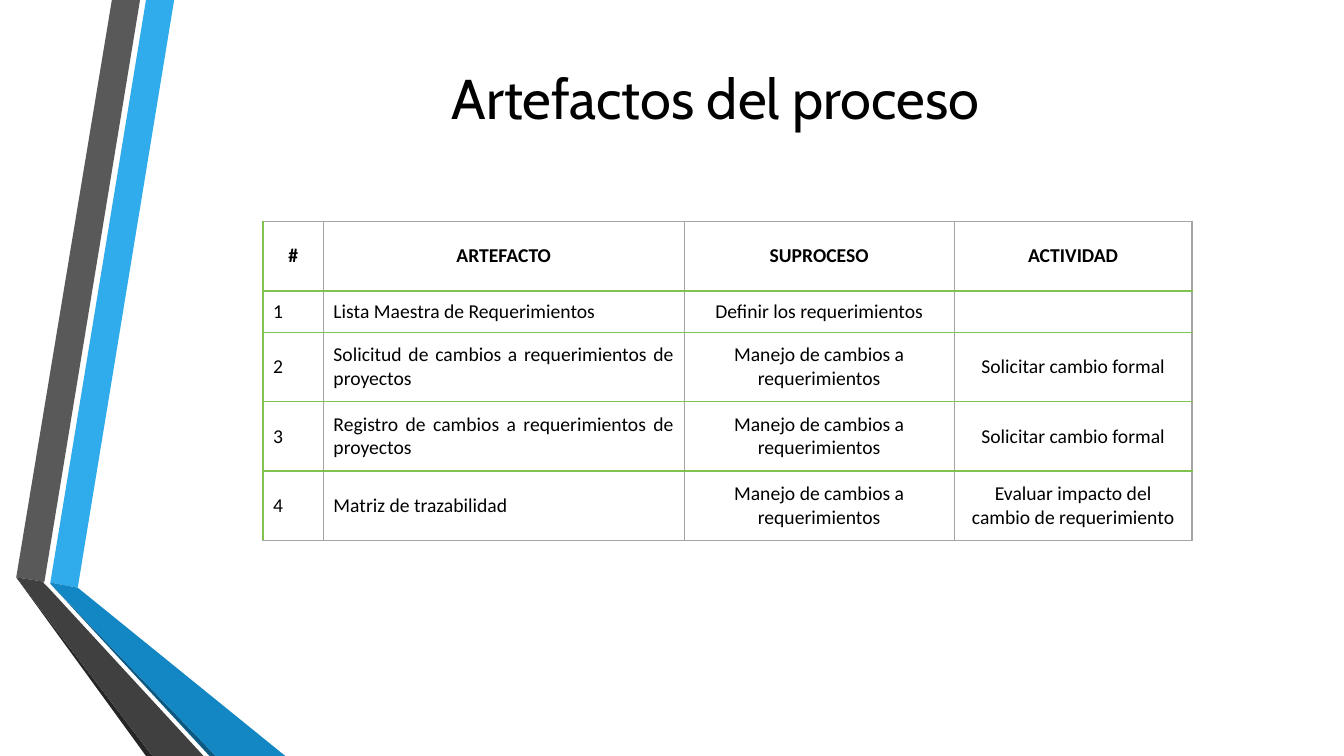
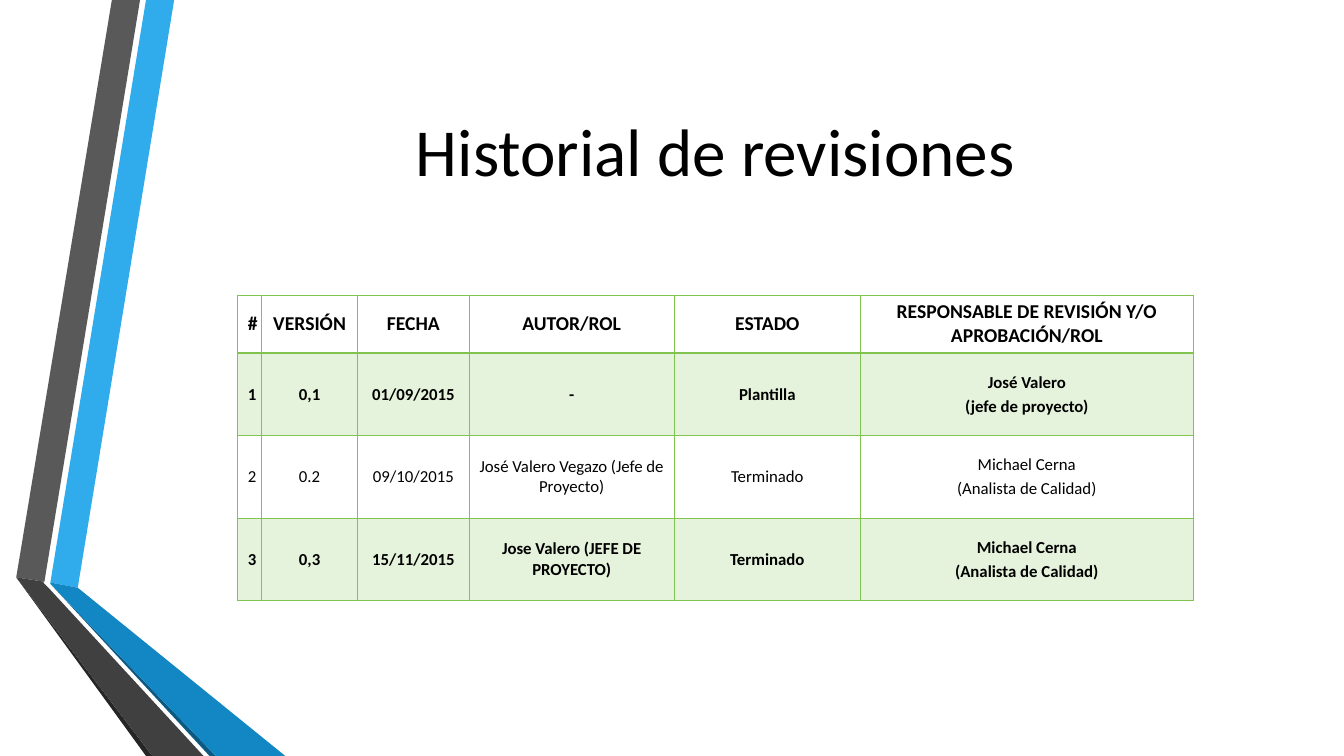
"""Build two table slides that share an angled ribbon on the left edge."""
from dataclasses import dataclass

from lxml.etree import SubElement
from pptx import Presentation
from pptx.dml.color import RGBColor
from pptx.enum.text import MSO_ANCHOR, PP_ALIGN
from pptx.oxml.ns import qn
from pptx.util import Cm, Pt


@dataclass(frozen=True)
class Theme:
    text: str = "000000"
    green: str = "80C34F"
    shade: str = "E6F3DC"
    grey: str = "A5A5A5"
    font: str = "Calibri"
    title_font: str = "Cabin"
    title: int = 40
    big_title: int = 48
    body: int = 14
    small: int = 12
    line: float = 1
    header_line: float = 1.5


THEME = Theme()
CENTER, JUSTIFY = PP_ALIGN.CENTER, PP_ALIGN.JUSTIFY
RIBBONS = [
    ("30ACEC", [(1.27, 14.68), (1.96, 14.81), (4.39, 0), (3.68, 0)]),
    ("595959", [(3.53, 0), (2.82, 0), (0.41, 14.55), (1.12, 14.66)]),
    ("262626", [(0.41, 14.55), (3.68, 19.05), (3.84, 19.05)]),
    ("0C5A82", [(1.27, 14.71), (5.28, 19.05), (5.44, 19.05)]),
    ("1287C3", [(1.27, 14.71), (5.44, 19.05), (7.19, 19.05), (1.96, 14.81), (1.27, 14.68)]),
    ("404040", [(5.13, 19.05), (1.22, 14.81), (1.09, 14.68), (1.12, 14.66), (0.41, 14.55),
                (3.84, 19.05)]),
]
ARTEFACTS = [
    ["#", "ARTEFACTO", "SUPROCESO", "ACTIVIDAD"],
    ["1", "Lista Maestra de Requerimientos", "Definir los requerimientos", ""],
    ["2", "Solicitud de cambios a requerimientos de proyectos",
     "Manejo de cambios a requerimientos", "Solicitar cambio formal"],
    ["3", "Registro de cambios a requerimientos de proyectos",
     "Manejo de cambios a requerimientos", "Solicitar cambio formal"],
    ["4", "Matriz de trazabilidad", "Manejo de cambios a requerimientos",
     "Evaluar impacto del cambio de requerimiento"],
]
REVISIONS = [
    ["#", "VERSIÓN", "FECHA", "AUTOR/ROL", "ESTADO",
     "RESPONSABLE DE REVISIÓN Y/O APROBACIÓN/ROL"],
    ["1", "0,1", "01/09/2015", "-", "Plantilla", "José Valero\n(jefe de proyecto)"],
    ["2", "0.2", "09/10/2015", "José Valero Vegazo (Jefe de Proyecto)", "Terminado",
     "Michael Cerna\n(Analista de Calidad)"],
    ["3", "0,3", "15/11/2015", "Jose Valero (JEFE DE PROYECTO)", "Terminado",
     "Michael Cerna\n(Analista de Calidad)"],
]


class Deck:
    def __init__(self, theme):
        self.theme = theme
        self.prs = Presentation()
        self.prs.slide_width, self.prs.slide_height = Cm(33.87), Cm(19.05)
        self.layout = self.prs.slide_layouts[5]
        self.s = None

    def slide(self, title, top, size, font):
        self.s = self.prs.slides.add_slide(self.layout)
        sp = self.s.shapes.title
        sp.left, sp.top, sp.width, sp.height = Cm(4.11), Cm(top), Cm(27.84), Cm(4.88)
        tf = sp.text_frame
        tf.vertical_anchor = MSO_ANCHOR.MIDDLE
        self.add_text(tf.paragraphs[0], title, size, font, CENTER)

    def ribbon_on_layout(self, ribbons):
        for i, (color, points) in enumerate(ribbons):
            start, *rest = [(Cm(x), Cm(y)) for x, y in points]
            builder = self.s.shapes.build_freeform(*start)
            builder.add_line_segments(rest, close=True)
            sp = builder.convert_to_shape()
            sp.shadow.inherit = False
            sp.fill.solid()
            sp.fill.fore_color.rgb = RGBColor.from_string(color)
            sp.line.fill.background()
            self.layout.shapes.element.insert(2 + i, sp.element)

    def add_text(self, p, text, size, font, align, bold=False):
        p.alignment = align
        r = p.add_run()
        r.text = text
        r.font.size, r.font.name, r.font.bold = Pt(size), font, bold
        r.font.color.rgb = RGBColor.from_string(self.theme.text)

    def borders(self, cell, edges):
        tc_pr = cell._tc.get_or_add_tcPr()
        for i, (side, color, width) in enumerate(edges):
            ln = SubElement(tc_pr, qn("a:ln" + side), w=str(Pt(width)))
            SubElement(SubElement(ln, qn("a:solidFill")), qn("a:srgbClr"), val=color)
            tc_pr.insert(i, ln)

    def fill_cell(self, cell, text, size, align, bold, shaded, gap):
        cell.vertical_anchor = MSO_ANCHOR.MIDDLE
        if shaded:
            cell.fill.solid()
            cell.fill.fore_color.rgb = RGBColor.from_string(self.theme.shade)
        else:
            cell.fill.background()
        tf = cell.text_frame
        for i, line in enumerate(text.split("\n") if text else []):
            p = tf.add_paragraph() if i else tf.paragraphs[0]
            p.space_before = Pt(gap)
            self.add_text(p, line, size, self.theme.font, align, bold)

    def table(self, rows, left, top, widths, heights, size, frame, justified=(), shaded=()):
        t = self.theme
        last = len(rows) - 1
        tbl = self.s.shapes.add_table(len(rows), len(widths), Cm(left), Cm(top),
                                      Cm(sum(widths)), Cm(sum(heights))).table
        tbl.first_row = tbl.horz_banding = False
        for col, width in zip(tbl.columns, widths):
            col.width = Cm(width)
        for i, texts in enumerate(rows):
            tbl.rows[i].height = Cm(heights[i])
            header = i == 0
            for j, text in enumerate(texts):
                cell = tbl.cell(i, j)
                align = JUSTIFY if j in justified and not header else CENTER
                self.fill_cell(cell, text, t.body if header else size, align,
                               header or i in shaded, i in shaded, 0 if header else size * 0.2)
                self.borders(cell, [
                    ("L", frame if j else t.green, t.line),
                    ("R", frame, t.line),
                    ("T", frame if header else t.green, t.header_line if i == 1 else t.line),
                    ("B", frame if i == last else t.green, t.header_line if header else t.line),
                ])


def main():
    deck = Deck(THEME)
    deck.slide("Artefactos del proceso", 0, THEME.title, THEME.title_font)
    deck.ribbon_on_layout(RIBBONS)
    deck.table(ARTEFACTS, 6.63, 5.58, [1.52, 9.09, 6.81, 5.99], [1.75, 1.04] + [1.75] * 3,
               THEME.body, THEME.grey, justified=(0, 1))
    deck.slide("Historial de revisiones", 1.32, THEME.big_title, THEME.font)
    deck.table(REVISIONS, 5.99, 7.44, [0.6, 2.41, 2.82, 5.16, 4.7, 8.38], [1.45] + [2.08] * 3,
               THEME.small, THEME.green, shaded=(1, 3))
    deck.prs.save("out.pptx")


if __name__ == "__main__":
    main()
